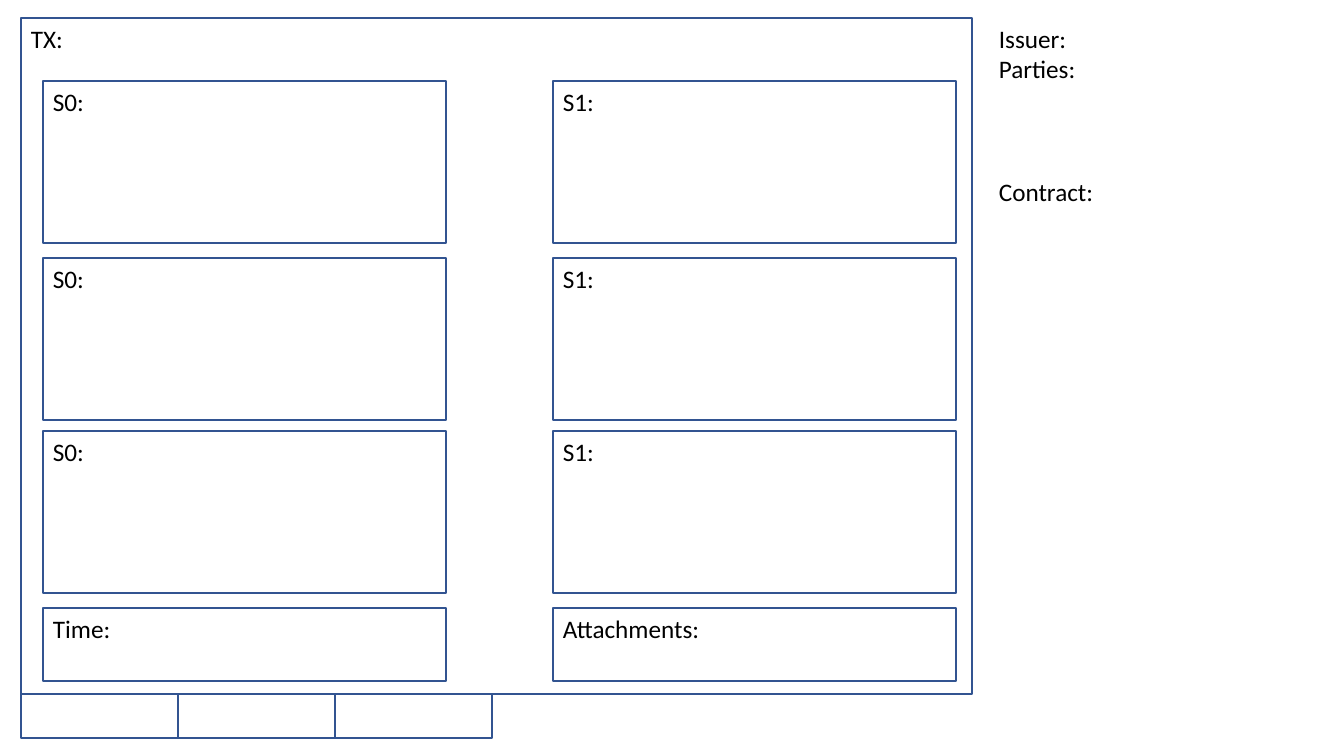
"""Build the transaction layout slide with its states, footer boxes and contract details."""
from dataclasses import dataclass
from typing import Optional

from pptx import Presentation
from pptx.dml.color import RGBColor
from pptx.enum.shapes import MSO_SHAPE
from pptx.enum.text import MSO_ANCHOR, MSO_AUTO_SIZE, PP_ALIGN
from pptx.util import Pt

RECTANGLE = MSO_SHAPE.RECTANGLE
TOP = MSO_ANCHOR.TOP
LEFT = PP_ALIGN.LEFT
FIT_SHAPE = MSO_AUTO_SIZE.SHAPE_TO_FIT_TEXT

BLUE = RGBColor(0x32, 0x54, 0x91)
WHITE = RGBColor(0xFF, 0xFF, 0xFF)
BLACK = RGBColor(0x00, 0x00, 0x00)

EMU_PER_PIXEL = 914400 / 100.8
SLIDE_WIDTH, SLIDE_HEIGHT = 1344, 756

TX_LEFT, TX_TOP, TX_WIDTH, TX_HEIGHT = 21, 18, 951, 676
TAB_COUNT, TAB_WIDTH, TAB_HEIGHT = 3, 157, 44
COLUMN_LEFTS = (43, 553)
COLUMN_WIDTH = 403
STATE_TOPS, STATE_HEIGHT = (81, 258, 431), 162
FOOTER_TOP, FOOTER_HEIGHT = 608, 73
DETAILS_LEFT, DETAILS_WIDTH, DETAILS_HEIGHT = 989, 122, 224


@dataclass(frozen=True)
class Box:
    """An outlined rectangle with an optional label."""
    left: int
    top: int
    width: int
    height: int
    label: str = ""
    fill: Optional[RGBColor] = None


@dataclass(frozen=True)
class Detail:
    """A line of the contract details and the gap above it in points."""
    label: str
    gap: int = 0


def px(pixels: int) -> int:
    """Turn pixels into EMU."""
    return round(pixels * EMU_PER_PIXEL)


def write(paragraph, label: str) -> None:
    """Add a left-aligned black label to a paragraph."""
    paragraph.alignment = LEFT
    run = paragraph.add_run()
    run.text = label
    run.font.name = "Calibri"
    run.font.size = Pt(18)
    run.font.color.rgb = BLACK


def draw_box(slide, box: Box) -> None:
    """Draw one outlined rectangle."""
    rectangle = slide.shapes.add_shape(
        RECTANGLE, px(box.left), px(box.top), px(box.width), px(box.height))
    rectangle.shadow.inherit = False
    rectangle.line.color.rgb = BLUE
    rectangle.line.width = Pt(1)
    if box.fill is None:
        rectangle.fill.background()
    else:
        rectangle.fill.solid()
        rectangle.fill.fore_color.rgb = box.fill
    if box.label:
        rectangle.text_frame.vertical_anchor = TOP
        write(rectangle.text_frame.paragraphs[0], box.label)


def draw_details(slide, details: tuple[Detail, ...]) -> None:
    """Write the contract details beside the transaction."""
    frame = slide.shapes.add_textbox(
        px(DETAILS_LEFT), px(TX_TOP), px(DETAILS_WIDTH), px(DETAILS_HEIGHT)).text_frame
    frame.word_wrap = False
    frame.auto_size = FIT_SHAPE
    for index, detail in enumerate(details):
        paragraph = frame.add_paragraph() if index else frame.paragraphs[0]
        paragraph.space_before = Pt(detail.gap)
        write(paragraph, detail.label)


tabs = [Box(TX_LEFT + index * TAB_WIDTH, TX_TOP + TX_HEIGHT, TAB_WIDTH, TAB_HEIGHT)
        for index in range(TAB_COUNT)]
transaction = Box(TX_LEFT, TX_TOP, TX_WIDTH, TX_HEIGHT, "TX:")
states = [Box(left, top, COLUMN_WIDTH, STATE_HEIGHT, f"S{column}:", WHITE)
          for top in STATE_TOPS for column, left in enumerate(COLUMN_LEFTS)]
footers = [Box(left, FOOTER_TOP, COLUMN_WIDTH, FOOTER_HEIGHT, label)
           for left, label in zip(COLUMN_LEFTS, ("Time:", "Attachments:"))]
contract_details = (Detail("Issuer:"), Detail("Parties:"), Detail("Contract: ", 66))

presentation = Presentation()
presentation.slide_width = px(SLIDE_WIDTH)
presentation.slide_height = px(SLIDE_HEIGHT)
layout_slide = presentation.slides.add_slide(presentation.slide_layouts[6])
for outlined in (*tabs, transaction, *states, *footers):
    draw_box(layout_slide, outlined)
draw_details(layout_slide, contract_details)
presentation.save("out.pptx")
